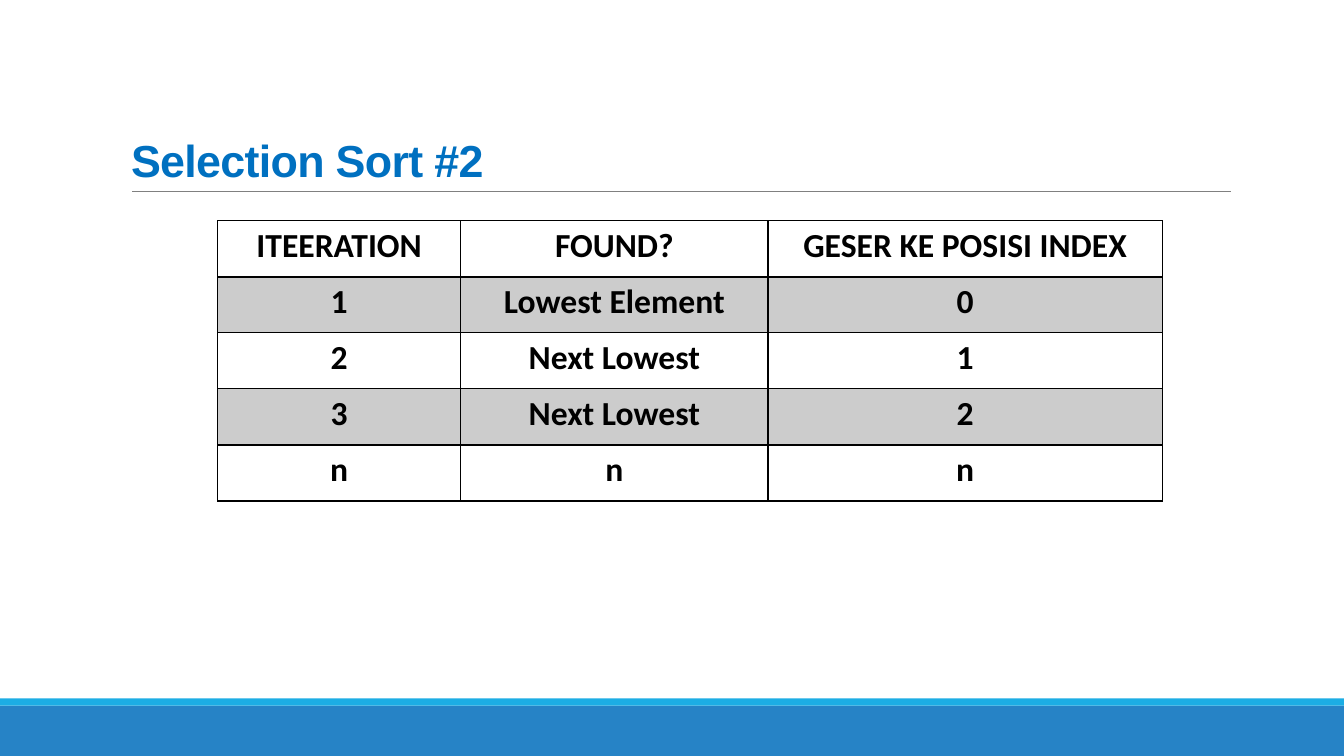
"""Build the Selection Sort #2 slide with its iteration table."""
from lxml.etree import SubElement
from pptx import Presentation
from pptx.dml.color import RGBColor
from pptx.enum.shapes import MSO_CONNECTOR, MSO_SHAPE
from pptx.enum.text import MSO_ANCHOR, PP_ALIGN
from pptx.oxml.ns import qn
from pptx.util import Inches, Pt

COLORS = {"blue": "2683C6", "cyan": "1CADE4", "rule": "808080",
          "title": "0070C0", "ink": "000000"}
TITLE = "Selection Sort #2"
ROWS = [
    ("ITEERATION", "FOUND?", "GESER KE POSISI INDEX"),
    ("1", "Lowest Element", "0"),
    ("2", "Next Lowest", "1"),
    ("3", "Next Lowest", "2"),
    ("n", "n", "n"),
]
COL_WIDTHS = (2.41, 3.05, 3.91)
ROW_HEIGHT = 0.556
BARS = [("blue", 7, 0.5), ("cyan", 6.93, 0.07)]
SLIDE_W, SLIDE_H = 13.333, 7.5
BAND_ALPHA = "20000"


def rgb(name):
    return RGBColor.from_string(COLORS[name])


def write(tf, text, *, size, font, color, align=PP_ALIGN.LEFT, line=1.0, spacing=0):
    p = tf.paragraphs[0]
    p.alignment = align
    p.line_spacing = line
    r = p.add_run()
    r.text = text
    r.font.size = Pt(size)
    r.font.name = font
    r.font.bold = True
    r.font.color.rgb = rgb(color)
    if spacing:
        r.font._element.set("spc", str(int(spacing * 100)))


def add_border(cell, side, width):
    ln = SubElement(cell._tc.get_or_add_tcPr(), qn(f"a:ln{side}"), w=str(Pt(width)))
    fill = SubElement(ln, qn("a:solidFill"))
    SubElement(fill, qn("a:srgbClr"), val=COLORS["ink"])


def shade(cell):
    cell.fill.solid()
    cell.fill.fore_color.rgb = rgb("ink")
    for clr in cell._tc.tcPr.findall(f"{qn('a:solidFill')}/{qn('a:srgbClr')}"):
        SubElement(clr, qn("a:alpha"), val=BAND_ALPHA)


def add_frame(s):
    for color, top, height in BARS:
        sp = s.shapes.add_shape(MSO_SHAPE.RECTANGLE, 0, Inches(top),
                                Inches(SLIDE_W), Inches(height))
        sp.shadow.inherit = False
        sp.fill.solid()
        sp.fill.fore_color.rgb = rgb(color)
        sp.line.fill.background()
    rule = s.shapes.add_connector(MSO_CONNECTOR.STRAIGHT, Inches(1.31), Inches(1.9),
                                  Inches(12.21), Inches(1.9))
    rule.line.color.rgb = rgb("rule")
    rule.line.width = Pt(0.5)
    SubElement(rule._element.spPr, qn("a:effectLst"))


def add_title(s):
    title = s.shapes.title
    title.left, title.top = Inches(1.2), Inches(0.31)
    title.width, title.height = Inches(11), Inches(1.59)
    tf = title.text_frame
    tf.word_wrap = True
    tf.vertical_anchor = MSO_ANCHOR.BOTTOM
    write(tf, TITLE, size=32, font="Arial", color="title", line=0.85, spacing=-0.5)


def add_steps(s):
    table = s.shapes.add_table(len(ROWS), len(COL_WIDTHS), Inches(2.16), Inches(2.19),
                               Inches(sum(COL_WIDTHS)),
                               Inches(ROW_HEIGHT * len(ROWS))).table
    table.first_row = table.horz_banding = False
    for col, width in zip(table.columns, COL_WIDTHS):
        col.width = Inches(width)
    for i, row in enumerate(ROWS):
        for j, text in enumerate(row):
            cell = table.cell(i, j)
            write(cell.text_frame, text, size=24, font="Calibri", color="ink",
                  align=PP_ALIGN.CENTER)
            for side in "LRTB":
                under_header = (i, side) in ((0, "B"), (1, "T"))
                add_border(cell, side, 2 if under_header else 1)
            if i % 2:
                shade(cell)
            else:
                cell.fill.background()


def main():
    prs = Presentation()
    prs.slide_width, prs.slide_height = Inches(SLIDE_W), Inches(SLIDE_H)
    s = prs.slides.add_slide(prs.slide_layouts[5])
    add_frame(s)
    add_title(s)
    add_steps(s)
    prs.save("out.pptx")


if __name__ == "__main__":
    main()
